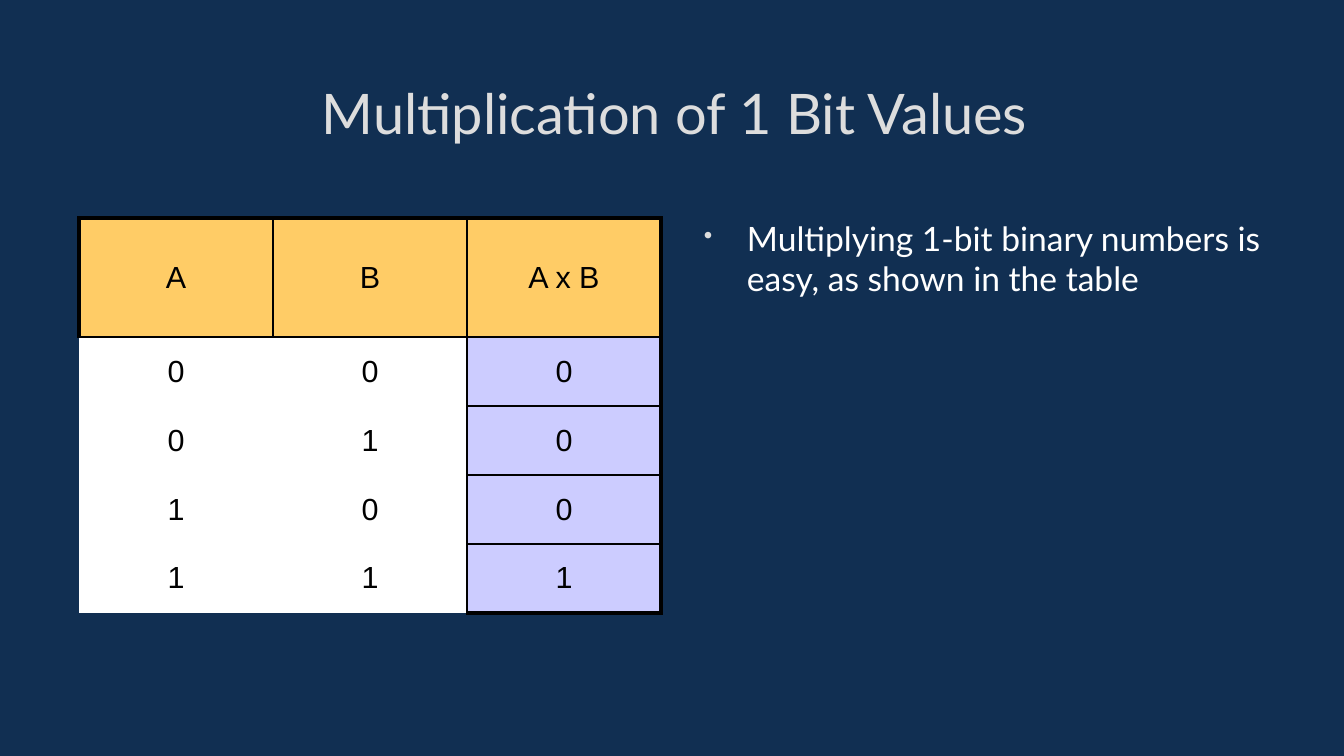
from lxml import etree
from pptx import Presentation
from pptx.dml.color import RGBColor
from pptx.enum.text import MSO_ANCHOR, MSO_AUTO_SIZE, PP_ALIGN
from pptx.oxml.ns import qn
from pptx.util import Pt

PX = 914400 / 122
CENTER = PP_ALIGN.CENTER
MIDDLE = MSO_ANCHOR.MIDDLE
TOP = MSO_ANCHOR.TOP
NO_AUTOFIT = MSO_AUTO_SIZE.NONE
TITLE_ONLY = 5
PLAIN_TABLE = "{2D5ABB26-0587-4C30-8999-92F81FD0307C}"
THIN, THICK = 0.96, 2.21
COLORS = {
    "navy": "112F52",
    "silver": "DDDDDD",
    "white": "FFFFFF",
    "black": "000000",
    "amber": "FFCC66",
    "lavender": "CCCCFF",
}


def px(length):
    return round(length * PX)


def rgb(name):
    return RGBColor.from_string(COLORS[name])


class Deck:
    def __init__(self, width, height):
        self.presentation = Presentation()
        self.presentation.slide_width = px(width)
        self.presentation.slide_height = px(height)
        self.slide = None

    def add_slide(self, background):
        layout = self.presentation.slide_layouts[TITLE_ONLY]
        self.slide = self.presentation.slides.add_slide(layout)
        fill = self.slide.background.fill
        fill.solid()
        fill.fore_color.rgb = rgb(background)

    def style(self, paragraph, face, size, color, align=None):
        paragraph.alignment = align
        paragraph.font.name = face
        paragraph.font.size = Pt(size)
        paragraph.font.color.rgb = rgb(color)

    def frame(self, shape, anchor):
        frame = shape.text_frame
        frame.word_wrap = True
        frame.auto_size = NO_AUTOFIT
        frame.vertical_anchor = anchor
        frame.margin_left = frame.margin_right = 0
        frame.margin_top = frame.margin_bottom = 0
        return frame

    def title(self, text, left, top, width, height):
        heading = self.slide.shapes.title
        heading.left, heading.top = px(left), px(top)
        heading.width, heading.height = px(width), px(height)
        frame = self.frame(heading, MIDDLE)
        frame.text = text
        self.style(frame.paragraphs[0], "Lato", 33, "silver", CENTER)

    def bullet(self, text, left, top, width, height):
        box = self.slide.shapes.add_textbox(px(left), px(top), px(width), px(height))
        frame = self.frame(box, TOP)
        frame.text = text
        paragraph = frame.paragraphs[0]
        properties = paragraph._p.get_or_add_pPr()
        properties.set("marL", str(px(58)))
        properties.set("indent", str(px(-43)))
        bullet_color = etree.SubElement(properties, qn("a:buClr"))
        etree.SubElement(bullet_color, qn("a:srgbClr"), val=COLORS["silver"])
        etree.SubElement(properties, qn("a:buSzPct"), val="75000")
        etree.SubElement(properties, qn("a:buChar"), char="•")
        self.style(paragraph, "Lato", 19.8, "white")

    def borders(self, cell, widths):
        properties = cell._tc.get_or_add_tcPr()
        for side, width in zip("LRTB", widths):
            line = etree.SubElement(properties, qn(f"a:ln{side}"), w=str(Pt(width)))
            if width:
                fill = etree.SubElement(line, qn("a:solidFill"))
                etree.SubElement(fill, qn("a:srgbClr"), val=COLORS["black"])
            else:
                etree.SubElement(line, qn("a:noFill"))

    def cell(self, cell, text, fill, widths):
        self.borders(cell, widths)
        cell.fill.solid()
        cell.fill.fore_color.rgb = rgb(fill)
        cell.vertical_anchor = MIDDLE
        cell.text = text
        self.style(cell.text_frame.paragraphs[0], "Arial", 18, "black", CENTER)

    def truth_table(self, rows, left, top, column_width, row_heights):
        last_row, last_column = len(rows) - 1, len(rows[0]) - 1
        table = self.slide.shapes.add_table(
            len(rows), len(rows[0]), px(left), px(top),
            px(column_width * len(rows[0])), px(sum(row_heights)),
        ).table
        table.first_row = table.horz_banding = False
        table._tbl.tblPr.find(qn("a:tableStyleId")).text = PLAIN_TABLE
        for column in table.columns:
            column.width = px(column_width)
        for r, (values, height) in enumerate(zip(rows, row_heights)):
            table.rows[r].height = px(height)
            for c, value in enumerate(values):
                is_header, is_product = r == 0, c == last_column
                widths = (0, 0, 0, 0)
                fill = "white"
                if is_header or is_product:
                    fill = "amber" if is_header else "lavender"
                    widths = (
                        THICK if c == 0 else THIN,
                        THICK if is_product else THIN,
                        THICK if is_header else THIN,
                        THICK if r == last_row else THIN,
                    )
                self.cell(table.cell(r, c), value, fill, widths)


def main():
    deck = Deck(1344, 756)
    deck.add_slide("navy")
    deck.title("Multiplication of 1 Bit Values", 79, 46, 1191, 133)
    products = [(str(a), str(b), str(a * b)) for a in (0, 1) for b in (0, 1)]
    deck.truth_table([("A", "B", "A x B"), *products], 79, 218, 194, [119] + [69] * 4)
    deck.bullet(
        "Multiplying 1-bit binary numbers is easy, as shown in the table",
        689, 218, 581, 437,
    )
    deck.presentation.save("out.pptx")


if __name__ == "__main__":
    main()
